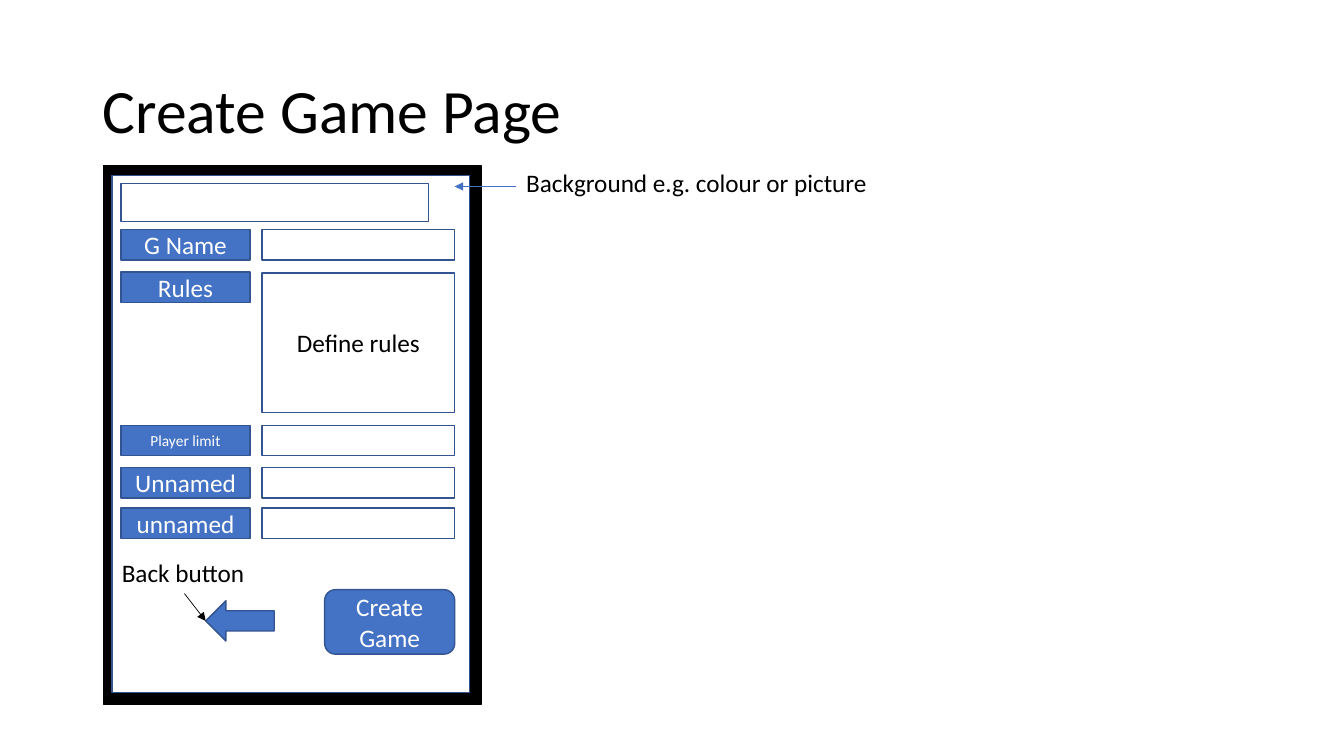
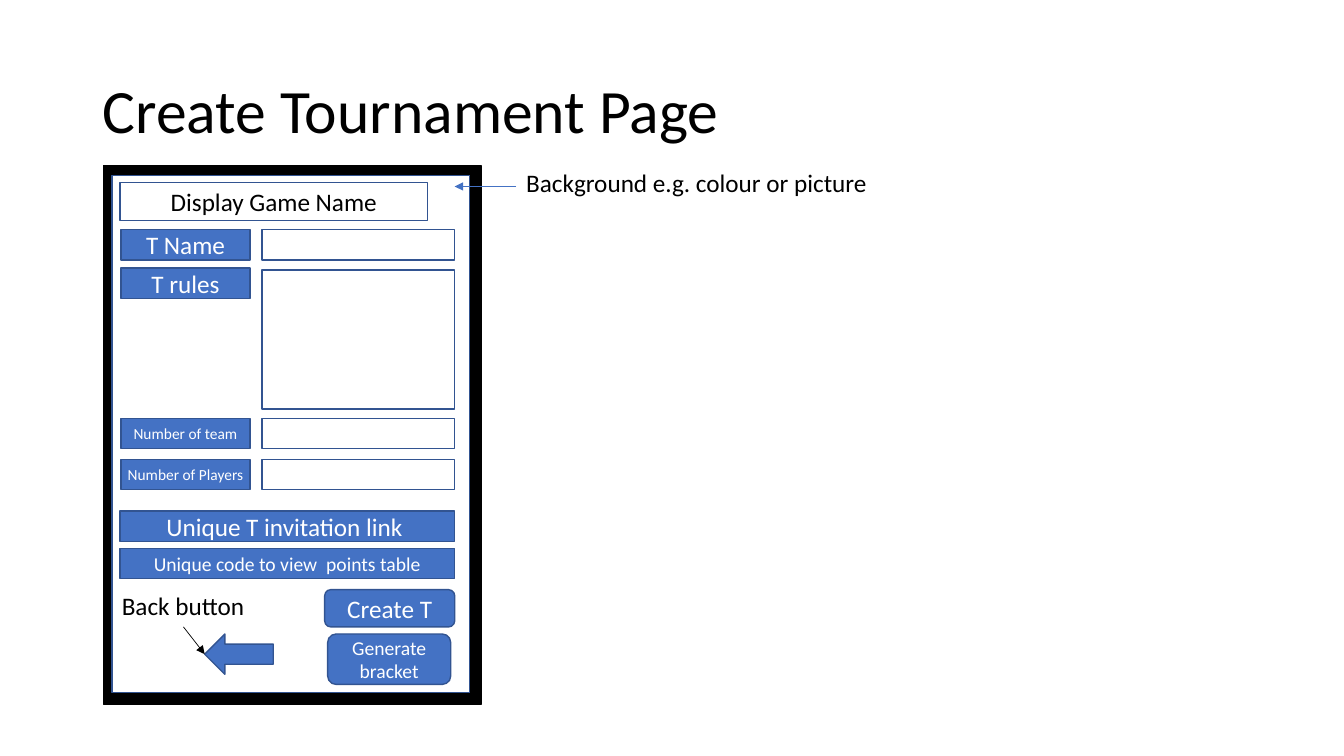
import pptx
import pptx.util
import pptx.dml.color
import pptx.enum.shapes
import pptx.enum.text
import pptx.oxml
import pptx.oxml.ns

Inches = pptx.util.Inches
Pt = pptx.util.Pt
SHAPES = pptx.enum.shapes.MSO_SHAPE
ALIGN = pptx.enum.text.PP_ALIGN
ANCHOR = pptx.enum.text.MSO_ANCHOR

BLUE, NAVY, WHITE, BLACK = "4472C4", "325491", "FFFFFF", "000000"
FONT = "Calibri"
LABEL_LEFT, LABEL_WIDTH, LABEL_INSET = 1.2, 1.28, 0.03
FIELD_LEFT, FIELD_WIDTH = 2.6, 1.91
ROW_HEIGHT, RULES_HEIGHT = 0.3, 1.38
WIDE_LEFT, WIDE_WIDTH = 1.19, 3.32

PAGES = [
    {
        "title": "Create Game Page",
        "header": (1.2, 1.82, ""),
        "rows": [
            ("G Name", 18, 2.28, 2.28, ROW_HEIGHT, ""),
            ("Rules", 18, 2.7, 2.71, RULES_HEIGHT, "Define rules"),
            ("Player limit", 11, 4.22, 4.22, ROW_HEIGHT, ""),
            ("Unnamed", 18, 4.64, 4.64, ROW_HEIGHT, ""),
            ("unnamed", 18, 5.04, 5.04, ROW_HEIGHT, ""),
        ],
        "links": [],
        "buttons": [("Create Game", 18, 3.22, 5.85, 1.29, 0.64)],
        "back": (2.04, 5.96),
    },
    {
        "title": "Create Tournament Page",
        "header": (1.19, 1.81, "Display Game Name"),
        "rows": [
            ("T Name", 18, 2.28, 2.28, ROW_HEIGHT, ""),
            ("T rules", 18, 2.66, 2.68, RULES_HEIGHT, ""),
            ("Number of team", 11, 4.15, 4.15, ROW_HEIGHT, ""),
            ("Number of Players", 11, 4.56, 4.56, ROW_HEIGHT, ""),
        ],
        "links": [
            ("Unique T invitation link ", 18, 5.07),
            ("Unique code to view  points table", 14, 5.44),
        ],
        "buttons": [
            ("Create T", 18, 3.22, 5.85, 1.29, 0.37),
            ("Generate bracket", 14, 3.25, 6.29, 1.22, 0.5),
        ],
        "back": (2.03, 6.29),
    },
]


def color(hex_code):
    return pptx.dml.color.RGBColor.from_string(hex_code)


def write(frame, text, size=18, ink=BLACK, align=ALIGN.LEFT, anchor=ANCHOR.TOP,
          wrap=True, spacing=None, side=0.1, edge=0.05):
    frame.word_wrap = wrap
    frame.vertical_anchor = anchor
    frame.margin_left = frame.margin_right = Inches(side)
    frame.margin_top = frame.margin_bottom = Inches(edge)
    paragraph = frame.paragraphs[0]
    paragraph.alignment = align
    paragraph.line_spacing = spacing
    run = paragraph.add_run()
    run.text = text
    run.font.name = FONT
    run.font.size = Pt(size)
    run.font.color.rgb = color(ink)


def add_box(slide, left, top, width, height, text="", kind=SHAPES.RECTANGLE,
            fill=BLUE, line=NAVY, size=18, side=0.1):
    box = slide.shapes.add_shape(
        kind, Inches(left), Inches(top), Inches(width), Inches(height))
    box.shadow.inherit = False
    box.fill.solid()
    box.fill.fore_color.rgb = color(fill)
    box.line.color.rgb = color(line)
    box.line.width = Pt(1)
    if text:
        write(box.text_frame, text, size=size, ink=WHITE if fill == BLUE else BLACK,
              align=ALIGN.CENTER, anchor=ANCHOR.MIDDLE, side=side, edge=0)


def add_text(slide, left, top, width, height, text, **style):
    box = slide.shapes.add_textbox(
        Inches(left), Inches(top), Inches(width), Inches(height))
    write(box.text_frame, text, **style)


def add_arrow(slide, x1, y1, x2, y2, ink):
    arrow = slide.shapes.add_connector(
        pptx.enum.shapes.MSO_CONNECTOR.STRAIGHT,
        Inches(x1), Inches(y1), Inches(x2), Inches(y2))
    arrow.line.color.rgb = color(ink)
    arrow.line.width = Pt(0.5)
    head = pptx.oxml.parse_xml(
        '<a:tailEnd %s type="triangle"/>' % pptx.oxml.ns.nsdecls("a"))
    arrow.line._get_or_add_ln().append(head)
    arrow._element.spPr.append(pptx.oxml.parse_xml(
        "<a:effectLst %s/>" % pptx.oxml.ns.nsdecls("a")))


def add_phone(slide, title):
    add_text(slide, 0.92, 0.4, 11.5, 1.45, title, size=44,
             anchor=ANCHOR.MIDDLE, spacing=0.9)
    add_box(slide, 1.03, 1.64, 3.74, 5.35, fill=BLACK, line=BLACK)
    add_box(slide, 1.11, 1.74, 3.55, 5.13, fill=WHITE)
    add_arrow(slide, 5.12, 1.85, 4.51, 1.85, BLUE)
    add_text(slide, 5.12, 1.61, 3.68, 0.4, "Background e.g. colour or picture",
             wrap=False)


def add_back_button(slide, left, top):
    add_box(slide, left, top, 0.68, 0.4, kind=SHAPES.LEFT_ARROW)
    add_arrow(slide, left - 0.21, top - 0.07, left, top + 0.2, BLACK)
    add_text(slide, 1.11, top - 0.48, 1.43, 0.4, "Back button", wrap=False)


deck = pptx.Presentation()
deck.slide_width, deck.slide_height = Inches(13.33), Inches(7.5)

for page in PAGES:
    slide = deck.slides.add_slide(deck.slide_layouts[6])
    add_phone(slide, page["title"])
    header_left, header_top, header = page["header"]
    add_box(slide, header_left, header_top, 3.05, 0.38, header, fill=WHITE)
    for label, size, label_top, field_top, field_height, hint in page["rows"]:
        add_box(slide, LABEL_LEFT, label_top, LABEL_WIDTH, ROW_HEIGHT, label,
                size=size, side=LABEL_INSET)
        add_box(slide, FIELD_LEFT, field_top, FIELD_WIDTH, field_height, hint, fill=WHITE)
    for link, size, top in page["links"]:
        add_box(slide, WIDE_LEFT, top, WIDE_WIDTH, ROW_HEIGHT, link, size=size)
    for caption, size, left, top, width, height in page["buttons"]:
        add_box(slide, left, top, width, height, caption,
                kind=SHAPES.ROUNDED_RECTANGLE, size=size)
    add_back_button(slide, *page["back"])

deck.save("out.pptx")
